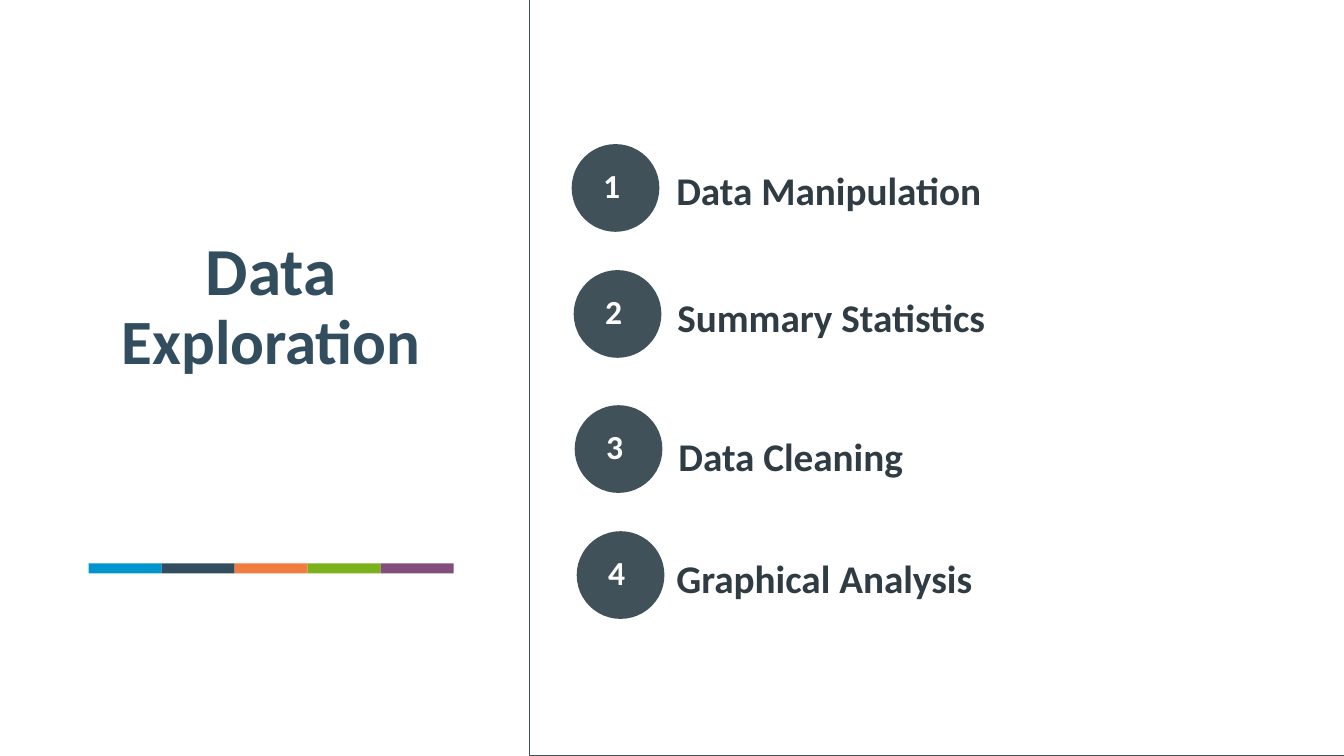
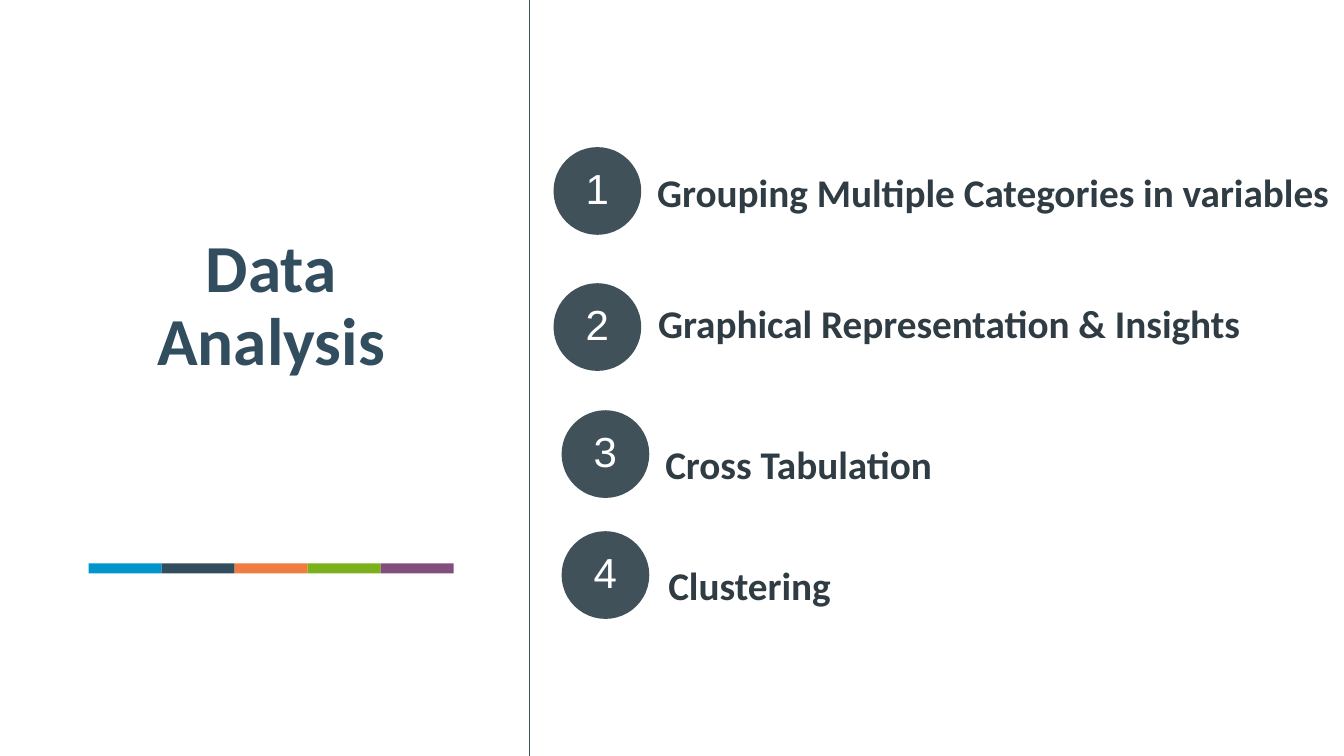
from dataclasses import dataclass

from pptx import Presentation
from pptx.dml.color import RGBColor
from pptx.enum import shapes, text
from pptx.util import Inches, Pt

# Shared palette and sizes
NAVY, SLATE, INK, WHITE = "324D5E", "40515A", "303C43", "FFFFFF"
STRIPE = ("0095CD", NAVY, "F17C3F", "7BB21B", "814E7E")
CIRCLE = 0.87
LABEL_H = 0.77


@dataclass
class Style:
    size: float
    color: str
    font: str = "Calibri"
    bold: bool = True


@dataclass
class Item:
    number: str
    circle: tuple[float, float]
    label: str
    label_at: tuple[float, float]
    label_w: float = 5.33


@dataclass
class Agenda:
    title: list[tuple[str, float]]  # words and their point size
    panel_top: float
    panel_height: float
    number_style: Style
    items: list[Item]


TITLE_LEFT, TITLE_W = 0.88, 3.62
LABEL = Style(28, INK)

AGENDAS = [
    Agenda([("Data ", 48), ("Exploration", 45)], 0, 7.5, Style(24, WHITE), [
        Item("1 ", (5.67, 1.43), "Data Manipulation", (6.61, 1.65)),
        Item("2 ", (5.69, 2.68), "Summary Statistics", (6.62, 2.91)),
        Item("3 ", (5.7, 4.02), "Data Cleaning", (6.63, 4.29)),
        Item("4 ", (5.72, 5.27), "Graphical Analysis", (6.61, 5.5)),
    ]),
    Agenda([("Data Analysis", 48)], -0.25, 7.93, Style(30, WHITE, "Arial", False), [
        Item("1", (5.49, 1.46), "Grouping Multiple Categories in variables",
             (6.42, 1.67), 8.44),
        Item("2", (5.49, 2.81), "Graphical Representation & Insights",
             (6.43, 2.97), 7.93),
        Item("3", (5.57, 4.07), "Cross Tabulation", (6.5, 4.37)),
        Item("4", (5.57, 5.27), "Clustering", (6.53, 5.57)),
    ]),
]


def rgb(value: str) -> RGBColor:
    return RGBColor.from_string(value)


def add_shape(s, kind, left: float, top: float, width: float, height: float,
              fill: str, line: str | None = None):
    sp = s.shapes.add_shape(kind, Inches(left), Inches(top),
                            Inches(width), Inches(height))
    sp.shadow.inherit = False
    sp.fill.solid()
    sp.fill.fore_color.rgb = rgb(fill)
    if line:
        sp.line.color.rgb = rgb(line)
        sp.line.width = Pt(0.75)
    else:
        sp.line.fill.background()
    return sp


def format_run(r, style: Style) -> None:
    r.font.name = style.font
    r.font.size = Pt(style.size)
    r.font.bold = style.bold
    r.font.color.rgb = rgb(style.color)


def set_frame(tf, anchor, align, insets=(0.1, 0.05, 0.1, 0.05)):
    """Set wrapping, insets and alignment; return the first paragraph."""
    tf.word_wrap = True
    tf.vertical_anchor = anchor
    (tf.margin_left, tf.margin_top,
     tf.margin_right, tf.margin_bottom) = map(Inches, insets)
    p = tf.paragraphs[0]
    p.alignment = align
    p.line_spacing = 0.9
    return p


def add_title(s, words: list[tuple[str, float]]) -> None:
    sp = s.shapes.add_textbox(Inches(TITLE_LEFT), Inches(1.54),
                              Inches(TITLE_W), Inches(3.12))
    p = set_frame(sp.text_frame, text.MSO_ANCHOR.MIDDLE, text.PP_ALIGN.CENTER,
                  (0.3, 0.1, 0.3, 0.2))
    for word, size in words:
        r = p.add_run()
        r.text = word
        format_run(r, Style(size, NAVY))


def add_stripe(s) -> None:
    width = TITLE_W / len(STRIPE)
    for i, color in enumerate(STRIPE):
        add_shape(s, shapes.MSO_SHAPE.RECTANGLE, TITLE_LEFT + i * width, 5.59,
                  width, 0.1, color)


def add_item(s, item: Item, number_style: Style) -> None:
    # Numbered circle
    sp = add_shape(s, shapes.MSO_SHAPE.OVAL, *item.circle, CIRCLE, CIRCLE, SLATE)
    sp.text_frame.text = item.number
    p = set_frame(sp.text_frame, text.MSO_ANCHOR.MIDDLE, text.PP_ALIGN.CENTER)
    format_run(p.runs[0], number_style)

    # Label beside it
    left, top = item.label_at
    sp = s.shapes.add_textbox(Inches(left), Inches(top),
                              Inches(item.label_w), Inches(LABEL_H))
    sp.text_frame.text = item.label
    p = set_frame(sp.text_frame, text.MSO_ANCHOR.TOP, text.PP_ALIGN.LEFT)
    format_run(p.runs[0], LABEL)


def add_agenda(prs, agenda: Agenda) -> None:
    s = prs.slides.add_slide(prs.slide_layouts[6])
    add_title(s, agenda.title)
    add_stripe(s)
    add_shape(s, shapes.MSO_SHAPE.RECTANGLE, 5.25, agenda.panel_top,
              8.21, agenda.panel_height, WHITE, SLATE)
    for item in agenda.items:
        add_item(s, item, agenda.number_style)


def main() -> None:
    prs = Presentation()
    prs.slide_width, prs.slide_height = Inches(13.33), Inches(7.5)
    for agenda in AGENDAS:
        add_agenda(prs, agenda)
    prs.save("out.pptx")


if __name__ == "__main__":
    main()
